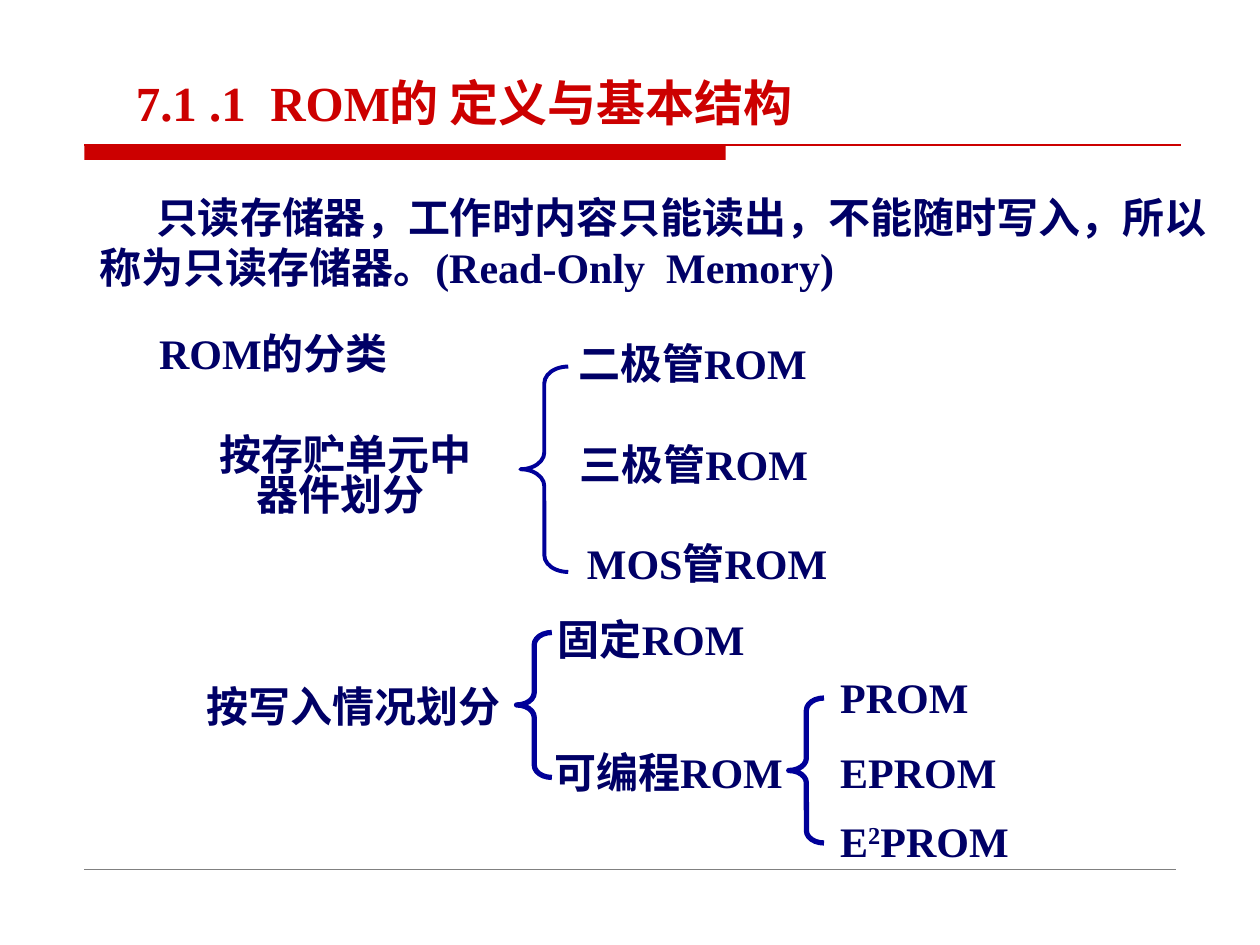
"""Build the slide on the definition and classification of ROM."""
import pptx
import pptx.util
import pptx.dml.color
import pptx.enum.shapes
import pptx.enum.text
import pptx.oxml.ns
import lxml.etree

Inches = pptx.util.Inches
Pt = pptx.util.Pt
RED = pptx.dml.color.RGBColor(0xCC, 0x00, 0x00)
NAVY = pptx.dml.color.RGBColor(0x00, 0x00, 0x66)
BLUE = pptx.dml.color.RGBColor(0x00, 0x00, 0x99)
GRAY = pptx.dml.color.RGBColor(0x80, 0x80, 0x80)
CENTER = pptx.enum.text.PP_ALIGN.CENTER
SHAPES = pptx.enum.shapes.MSO_SHAPE

TITLE = ("7.1 .1  ROM的 定义与基本结构", 0.98, 0.52, 8.07, 0.57)
DEFINITION = ("只读存储器，工作时内容只能读出，不能随时写入，"
              "所以称为只读存储器。(Read-Only  Memory)", 0.69, 1.47, 9.03, 0.97)
HEADING = ("ROM的分类", 0.51, 2.55, 3.32, 0.5)
DEVICE_LABEL = ("按存贮单元中器件划分 ", 1.5, 3.43, 2.48, 0.74)
DEVICE_TYPES = [("二极管ROM", 4.49, 2.63), ("三极管ROM", 4.5, 3.43), ("MOS管ROM", 4.56, 4.22)]
WRITE_TYPES = [
    ("按写入情况划分", 1.54, 5.43, 3.05),
    ("固定ROM", 4.33, 4.9, 1.86),
    ("可编程ROM", 4.3, 5.95, 2.32),
    ("PROM", 6.57, 5.36, 1.86),
    ("EPROM", 6.57, 5.95, 1.86),
    ("E^2^PROM", 6.57, 6.5, 1.86),
]
BRACES = [(4.13, 2.91, 0.38, 1.63, 2.25), (4.1, 5.02, 0.28, 1.15, 3), (6.26, 5.54, 0.28, 1.15, 3)]
RULES = [(0.67, 9.37, 1.15, RED, 0.75), (0.67, 9.33, 6.9, GRAY, 0.25)]


def add_text(page, text, left, top, width, height, color=NAVY, size=24, indent=0, **layout):
    """Add a bold text box; parts between carets are superscript."""
    box = page.shapes.add_textbox(*map(Inches, (left, top, width, height)))
    frame = box.text_frame
    frame.word_wrap = True
    frame.auto_size = pptx.enum.text.MSO_AUTO_SIZE.SHAPE_TO_FIT_TEXT
    para = frame.paragraphs[0]
    for name, value in layout.items():
        setattr(para, name, value)
    if indent:
        para._p.get_or_add_pPr().set("indent", str(Inches(indent)))
    style = {"name": "Times New Roman", "size": Pt(size), "bold": True}
    for index, part in enumerate(text.split("^")):
        span = para.add_run()
        span.text = part
        for name, value in style.items():
            setattr(span.font, name, value)
        span.font.color.rgb = color
        if index % 2:
            span._r.get_or_add_rPr().set("baseline", "30000")
    return frame


def add_rule(page, start, end, height, color, weight):
    """Add a horizontal line."""
    rule = page.shapes.add_connector(
        pptx.enum.shapes.MSO_CONNECTOR.STRAIGHT, *map(Inches, (start, height, end, height)))
    rule.line.color.rgb = color
    rule.line.width = Pt(weight)
    lxml.etree.SubElement(rule._element.spPr, pptx.oxml.ns.qn("a:effectLst"))


def add_brace(page, left, top, width, height, weight):
    """Add an unfilled left brace."""
    brace = page.shapes.add_shape(SHAPES.LEFT_BRACE, *map(Inches, (left, top, width, height)))
    brace.adjustments[0] = 0.35
    brace.shadow.inherit = False
    brace.fill.background()
    brace.line.color.rgb = BLUE
    brace.line.width = Pt(weight)


def main():
    """Place every part and save the deck."""
    deck = pptx.Presentation()
    deck.slide_width, deck.slide_height = Inches(10), Inches(7.5)
    page = deck.slides.add_slide(deck.slide_layouts[6])

    bar = page.shapes.add_shape(SHAPES.RECTANGLE, *map(Inches, (0.67, 1.15, 5.09, 0.12)))
    bar.shadow.inherit = False
    bar.fill.solid()
    bar.fill.fore_color.rgb = RED
    bar.line.fill.background()
    for rule in RULES:
        add_rule(page, *rule)

    title = add_text(page, *TITLE, color=RED, size=28)
    title.vertical_anchor = pptx.enum.text.MSO_ANCHOR.BOTTOM
    add_text(page, *DEFINITION, indent=0.45)
    add_text(page, *HEADING, alignment=CENTER)
    add_text(page, *DEVICE_LABEL, alignment=CENTER, line_spacing=0.8)
    for text, left, top in DEVICE_TYPES:
        add_text(page, text, left, top, 2.51, 0.5)
    for text, left, top, width in WRITE_TYPES:
        add_text(page, text, left, top, width, 0.42, line_spacing=0.8)
    for brace in BRACES:
        add_brace(page, *brace)
    deck.save("out.pptx")


if __name__ == "__main__":
    main()
